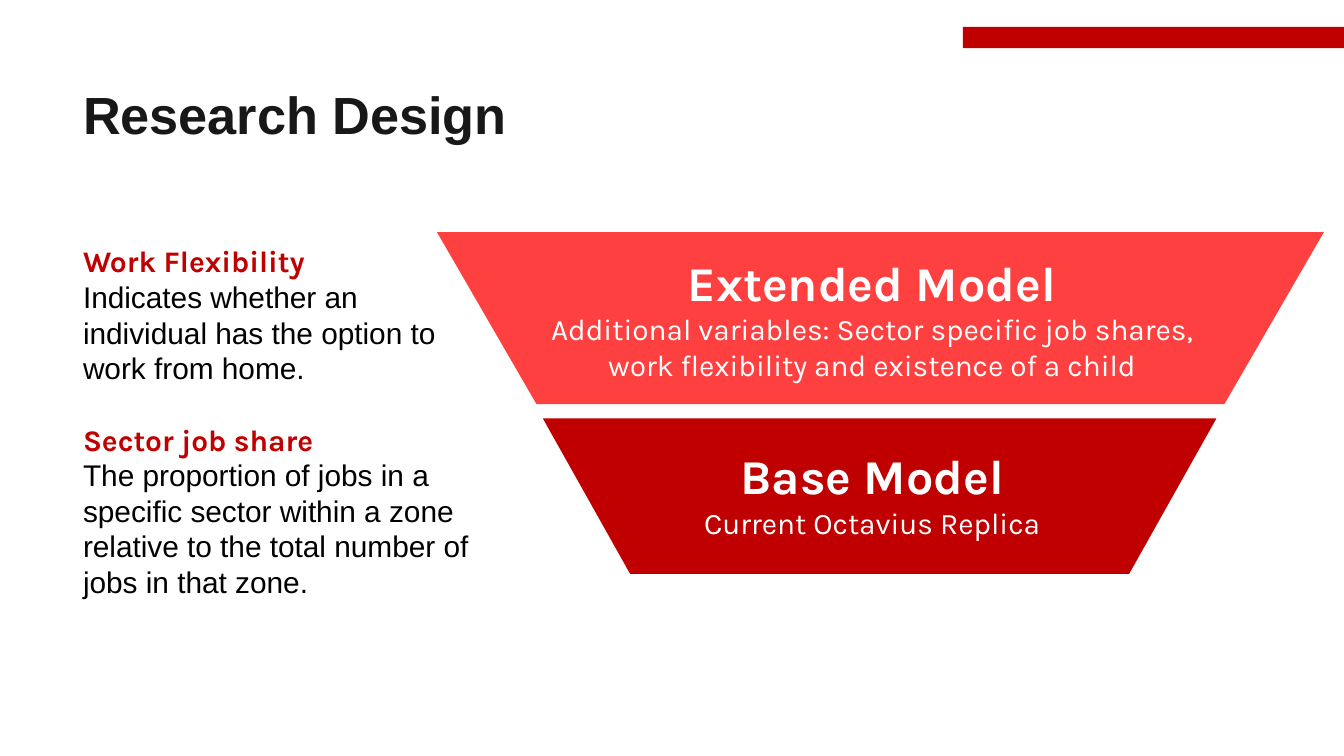
from dataclasses import dataclass
from pptx import Presentation
from pptx.dml.color import RGBColor as RGB
from pptx.enum.shapes import MSO_SHAPE as Shape
from pptx.enum.text import MSO_ANCHOR as Anchor, PP_ALIGN as Align
from pptx.util import Cm, Pt


@dataclass(frozen=True)
class Theme:
    red: str = "C00000"
    coral: str = "FF4040"
    ink: str = "181818"
    black: str = "000000"
    white: str = "FFFFFF"
    title: int = 28
    head: int = 26
    body: int = 16
    sans: str = "Arial"
    accent: str = "Karla"


look = Theme()


def write(frame, text, size=look.body, font=look.sans, color=look.black,
          bold=False, align=Align.LEFT, lead=19.1, gap=0):
    para = frame.paragraphs[0]
    if para.runs:
        para = frame.add_paragraph()
    para.alignment = align
    para.line_spacing = Pt(lead)
    if gap:
        para.space_before = Pt(gap)
    run = para.add_run()
    run.text = text
    run.font.size = Pt(size)
    run.font.name = font
    run.font.bold = bold
    run.font.color.rgb = RGB.from_string(color)


def paint(shape, color):
    shape.shadow.inherit = False
    shape.fill.solid()
    shape.fill.fore_color.rgb = RGB.from_string(color)
    shape.line.fill.background()


deck = Presentation()
deck.slide_width, deck.slide_height = Cm(25.4), Cm(14.29)
slide = deck.slides.add_slide(deck.slide_layouts[6])
shapes = slide.shapes

bar = shapes.add_shape(Shape.RECTANGLE, Cm(18.2), Cm(0.51), Cm(7.2), Cm(0.4))
paint(bar, look.red)

tiers = [
    (8.26, 4.39, 16.76, 3.25, 1.88, look.coral),
    (10.26, 7.91, 12.73, 2.94, 1.65, look.red),
]
for left, top, width, height, inset, color in tiers:
    right, base = left + width, top + height
    path = shapes.build_freeform(Cm(left), Cm(top))
    path.add_line_segments([
        (Cm(right), Cm(top)),
        (Cm(right - inset), Cm(base)),
        (Cm(left + inset), Cm(base)),
    ], close=True)
    paint(path.convert_to_shape(), color)

title = shapes.add_textbox(Cm(1.32), Cm(1.37), Cm(9.86), Cm(1.6)).text_frame
title.word_wrap = True
title.vertical_anchor = Anchor.MIDDLE
write(title, "Research Design", size=look.title, color=look.ink, bold=True, lead=32.2)

models = [
    (9.4, 4.62, 14.17, 3.76, "Extended Model", [
        "Additional variables: Sector specific job shares,",
        "work flexibility and existence of a child",
    ]),
    (12.37, 8.28, 8.23, 3.07, "Base Model", ["Current Octavius Replica"]),
]
for left, top, width, height, head, lines in models:
    frame = shapes.add_textbox(Cm(left), Cm(top), Cm(width), Cm(height)).text_frame
    frame.word_wrap = True
    write(frame, head, size=look.head, font=look.accent, color=look.white,
          bold=True, align=Align.CENTER, lead=32)
    for line in lines:
        write(frame, line, font=look.accent, color=look.white, align=Align.CENTER)

terms = [
    ("Work Flexibility",
     "Indicates whether an individual has the option to work from home.", 0),
    ("Sector job share",
     "The proportion of jobs in a specific sector within a zone relative to "
     "the total number of jobs in that zone.", 19.1),
]
notes = shapes.add_textbox(Cm(1.32), Cm(4.47), Cm(8.08), Cm(8.46)).text_frame
notes.word_wrap = True
for term, text, gap in terms:
    write(notes, term, font=look.accent, color=look.red, bold=True, gap=gap)
    write(notes, text)

deck.save("out.pptx")
